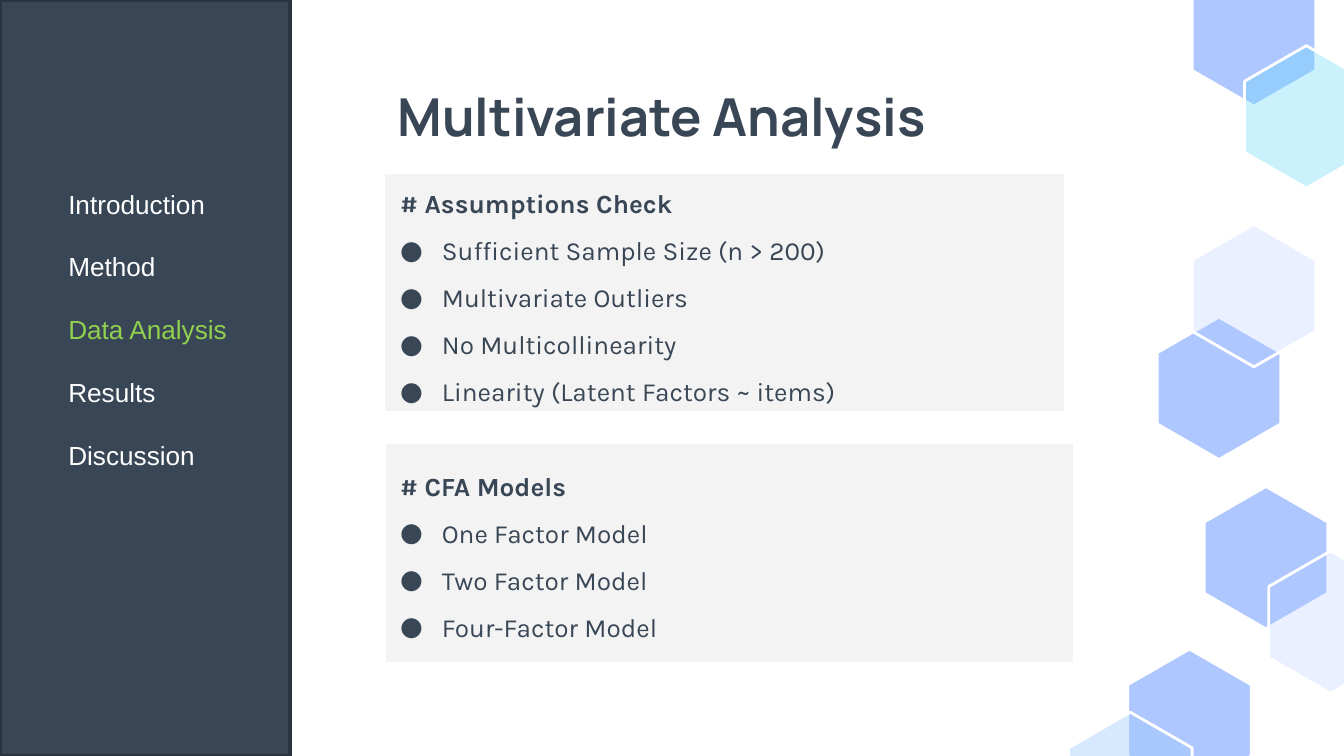
from lxml.etree import SubElement
from pptx import Presentation
from pptx.dml.color import RGBColor
from pptx.enum.shapes import MSO_SHAPE as Preset
from pptx.enum.text import MSO_ANCHOR as Anchor
from pptx.oxml.ns import qn
from pptx.util import Inches, Pt

WIDTH = 10
HEIGHT = WIDTH * 9 / 16
SLATE, WHITE, GREEN, GREY, BLUE = "384655", "FFFFFF", "92D050", "F3F3F3", "AFC7FF"
TITLE = "Multivariate Analysis"
SECTIONS = ["Introduction", "Method", "Data Analysis", "Results", "Discussion"]
CURRENT = "Data Analysis"
TOPICS = {
    "# Assumptions Check": [
        "Sufficient Sample Size (n > 200)",
        "Multivariate Outliers",
        "No Multicollinearity",
        "Linearity (Latent Factors ~ items)",
    ],
    "# CFA Models": ["One Factor Model", "Two Factor Model", "Four-Factor Model"],
}
PANELS = [(2.85, 1.28, 5.08, 1.79), (2.86, 3.29, 5.14, 1.65)]
HEX_WIDTH, HEX_HEIGHT = 0.92, 1.06
HEXAGONS = [
    (8.61, 2.36, BLUE, 100),
    (8.87, -0.27, BLUE, 100),
    (8.39, 4.83, BLUE, 100),
    (8.87, 1.67, BLUE, 25),
    (8.96, 3.62, BLUE, 100),
    (9.44, 4.1, BLUE, 25),
    (7.95, 5.3, "9FCBFD", 41),
    (9.26, 0.34, "68DAF8", 34),
]
HEX_CORNERS = [(0.5, 0), (0, 0.25), (0, 0.75), (0.5, 1), (1, 0.75), (1, 0.25)]


def color(hex_string):
    return RGBColor.from_string(hex_string)


def paint(shape, fill, line, width, opacity=100):
    shape.shadow.inherit = False
    shape.fill.solid()
    shape.fill.fore_color.rgb = color(fill)
    shape.line.color.rgb = color(line)
    shape.line.width = Pt(width)
    if opacity < 100:
        fill_color = shape._element.spPr.find(qn("a:solidFill"))[0]
        SubElement(fill_color, qn("a:alpha"), val=str(opacity * 1000))


def add_panel(slide, box, fill, line):
    shape = slide.shapes.add_shape(Preset.RECTANGLE, *map(Inches, box))
    paint(shape, fill, line, 2)


def add_hexagon(slide, left, top, fill, opacity):
    points = [(Inches(left + x * HEX_WIDTH), Inches(top + y * HEX_HEIGHT))
              for x, y in HEX_CORNERS]
    builder = slide.shapes.build_freeform(*points[0])
    builder.add_line_segments(points[1:], close=True)
    paint(builder.convert_to_shape(), fill, WHITE, 1.5, opacity)


def add_text(slide, box, inset):
    frame = slide.shapes.add_textbox(*map(Inches, box)).text_frame
    frame.word_wrap = True
    frame.vertical_anchor = Anchor.TOP
    frame.margin_left = frame.margin_right = Inches(0.1)
    frame.margin_top = frame.margin_bottom = Inches(inset)
    return frame


def add_line(frame, text, font, size, fill, bold=False):
    paragraph = frame.paragraphs[0]
    if paragraph.runs:
        paragraph = frame.add_paragraph()
    paragraph.add_run().text = text
    paragraph.font.name, paragraph.font.size = font, Pt(size)
    paragraph.font.color.rgb, paragraph.font.bold = color(fill), bold
    return paragraph


def add_bullet(paragraph):
    properties = paragraph._p.get_or_add_pPr()
    properties.set("marL", str(Inches(0.31)))
    properties.set("indent", str(-Inches(0.31)))
    bullet_color = SubElement(properties, qn("a:buClr"))
    SubElement(bullet_color, qn("a:srgbClr"), val=SLATE)
    SubElement(properties, qn("a:buFont"), typeface="Karla")
    SubElement(properties, qn("a:buChar"), char="●")
    properties.append(properties.find(qn("a:defRPr")))


def add_topics(slide):
    frame = add_text(slide, (2.88, 1.18, 4.7, 3.65), 0.1)
    for index, (heading, items) in enumerate(TOPICS.items()):
        paragraph = add_line(frame, heading, "Karla", 14, SLATE, bold=True)
        paragraph.line_spacing = 1.5
        if index:
            paragraph.space_before = Pt(25.2)
        for item in items:
            paragraph = add_line(frame, item, "Karla", 14, SLATE)
            paragraph.line_spacing = 1.5
            add_bullet(paragraph)


def add_navigation(slide):
    add_panel(slide, (0, 0, 2.16, HEIGHT), SLATE, "29343F")
    frame = add_text(slide, (0.41, 1.35, 1.73, 2.22), 0.05)
    for index, section in enumerate(SECTIONS):
        fill = GREEN if section == CURRENT else WHITE
        paragraph = add_line(frame, section, "Arial", 14, fill)
        if index:
            paragraph.space_before = Pt(16.8)


def main():
    """Build the multivariate analysis slide and save it."""
    presentation = Presentation()
    presentation.slide_width, presentation.slide_height = Inches(WIDTH), Inches(HEIGHT)
    slide = presentation.slides.add_slide(presentation.slide_layouts[6])
    for box in PANELS:
        add_panel(slide, box, GREY, WHITE)
    add_topics(slide)
    for hexagon in HEXAGONS:
        add_hexagon(slide, *hexagon)
    add_navigation(slide)
    add_line(add_text(slide, (2.86, 0.53, 7.39, 0.63), 0.1),
             TITLE, "Manrope", 28, SLATE, bold=True)
    presentation.save("out.pptx")


if __name__ == "__main__":
    main()
